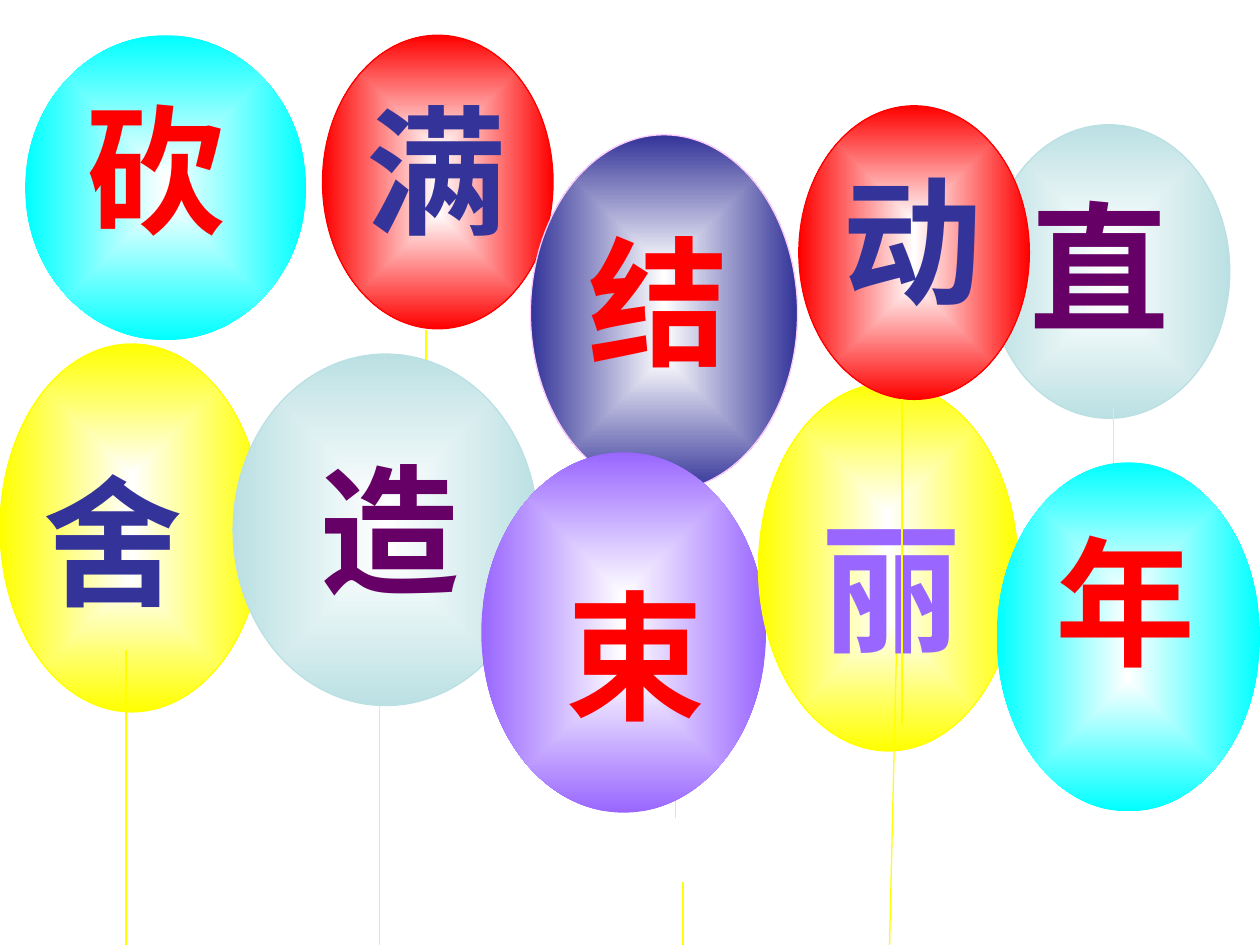
"""Build a slide of ten balloons on strings, each carrying one Chinese character."""
from lxml.etree import SubElement
from pptx import Presentation
from pptx.dml.color import RGBColor
from pptx.enum.shapes import MSO_CONNECTOR, MSO_SHAPE
from pptx.enum.text import MSO_ANCHOR
from pptx.oxml.ns import qn
from pptx.util import Inches, Pt

THEME = {
    "white": "FFFFFF", "cyan": "00FFFF", "red": "FF0000", "navy": "333399",
    "pink": "FFCCFF", "pale": "BBE0E3", "plum": "660066", "yellow": "FFFF00",
    "violet": "9966FF", "latin": "Times New Roman", "asian": "Noto Sans CJK SC",
    "size": 80, "line": 0.75,
}
TEXT_SIZE = (1.32, 1.44)
LOOSE_STRING = (5.42, 7, 5.42, 7.5)

BALLOONS = [
    {"text": "砍", "at": (0.2, 0.28, 2.23, 2.42), "fill": "cyan", "outline": None,
     "string": None, "text_at": (0.58, 0.61), "color": "red"},
    {"text": "满", "at": (2.56, 0.28, 1.83, 2.33), "fill": "red", "outline": "red",
     "string": (3.38, 2.62, 3.38, 5.2), "text_at": (2.81, 0.62), "color": "navy"},
    {"text": "结", "at": (4.21, 1.07, 2.12, 2.83), "fill": "navy", "outline": "pink",
     "string": (5.36, 3.91, 5.36, 6.49), "text_at": (4.57, 1.66), "color": "red"},
    {"text": "直", "at": (7.84, 0.99, 1.92, 2.33), "fill": "pale", "outline": "pale",
     "string": (8.84, 3.24, 8.84, 5.83), "text_at": (8.07, 1.38), "color": "plum"},
    {"text": "舍", "at": (0, 2.73, 2.09, 2.92), "fill": "yellow", "outline": "yellow",
     "string": (1, 5.16, 1, 7.5), "text_at": (0.25, 3.56), "color": "navy"},
    {"text": "造", "at": (1.85, 2.81, 2.42, 2.79), "fill": "pale", "outline": "pale",
     "string": (3.01, 5.6, 3.01, 7.5), "text_at": (2.44, 3.47), "color": "plum"},
    {"text": "束", "at": (3.82, 3.59, 2.26, 2.86), "fill": "violet", "outline": None,
     "string": None, "text_at": (4.39, 4.47), "color": "red"},
    {"text": "丽", "at": (6.02, 3.04, 2.06, 2.92), "fill": "yellow", "outline": "yellow",
     "string": (7.12, 4.96, 7.06, 7.5), "text_at": (6.42, 3.93), "color": "violet"},
    {"text": "年", "at": (7.91, 3.67, 2.09, 2.77), "fill": "cyan", "outline": None,
     "string": None, "text_at": (8.28, 4.04), "color": "red"},
    {"text": "动", "at": (6.34, 0.84, 1.83, 2.33), "fill": "red", "outline": "red",
     "string": (7.16, 3.17, 7.16, 5.75), "text_at": (6.59, 1.17), "color": "navy"},
]


def theme_color(name):
    return RGBColor.from_string(THEME[name])


def set_line(line, color):
    line.color.rgb = theme_color(color)
    line.width = Pt(THEME["line"])


def add_string(shapes, ends):
    connector = shapes.add_connector(MSO_CONNECTOR.STRAIGHT, *map(Inches, ends))
    set_line(connector.line, "yellow")
    SubElement(connector._element.spPr, qn("a:effectLst"))


def set_center_gradient(shape, color):
    shape.fill.gradient()
    for stop, name in zip(shape.fill.gradient_stops, ("white", color)):
        stop.color.rgb = theme_color(name)
    gradient = shape._element.spPr.find(qn("a:gradFill"))
    direction = SubElement(gradient, qn("a:path"), path="rect")
    SubElement(direction, qn("a:fillToRect"), l="50000", t="50000", r="50000", b="50000")
    gradient.replace(gradient.find(qn("a:lin")), direction)


def add_ellipse(shapes, at, fill, outline):
    shape = shapes.add_shape(MSO_SHAPE.OVAL, *map(Inches, at))
    shape.shadow.inherit = False
    set_center_gradient(shape, fill)
    if outline:
        set_line(shape.line, outline)
    else:
        shape.line.fill.background()


def add_text(shapes, text, *, at, color, size=THEME["size"], bold=True):
    box = shapes.add_textbox(*map(Inches, at + TEXT_SIZE))
    frame = box.text_frame
    frame.word_wrap = True
    frame.vertical_anchor = MSO_ANCHOR.MIDDLE
    run = frame.paragraphs[0].add_run()
    run.text = text
    font = run.font
    font.name, font.size, font.bold = THEME["latin"], Pt(size), bold
    font.color.rgb = theme_color(color)
    SubElement(run._r.get_or_add_rPr(), qn("a:ea"), typeface=THEME["asian"])


def add_balloon(slide, balloon):
    shapes = slide.shapes.add_group_shape().shapes
    add_ellipse(shapes, balloon["at"], balloon["fill"], balloon["outline"])
    if balloon["string"]:
        add_string(shapes, balloon["string"])
    add_text(shapes, balloon["text"], at=balloon["text_at"], color=balloon["color"])


def main():
    presentation = Presentation()
    presentation.slide_width, presentation.slide_height = Inches(10), Inches(7.5)
    slide = presentation.slides.add_slide(presentation.slide_layouts[6])
    add_string(slide.shapes, LOOSE_STRING)
    for balloon in BALLOONS:
        add_balloon(slide, balloon)
    presentation.save("out.pptx")


if __name__ == "__main__":
    main()
